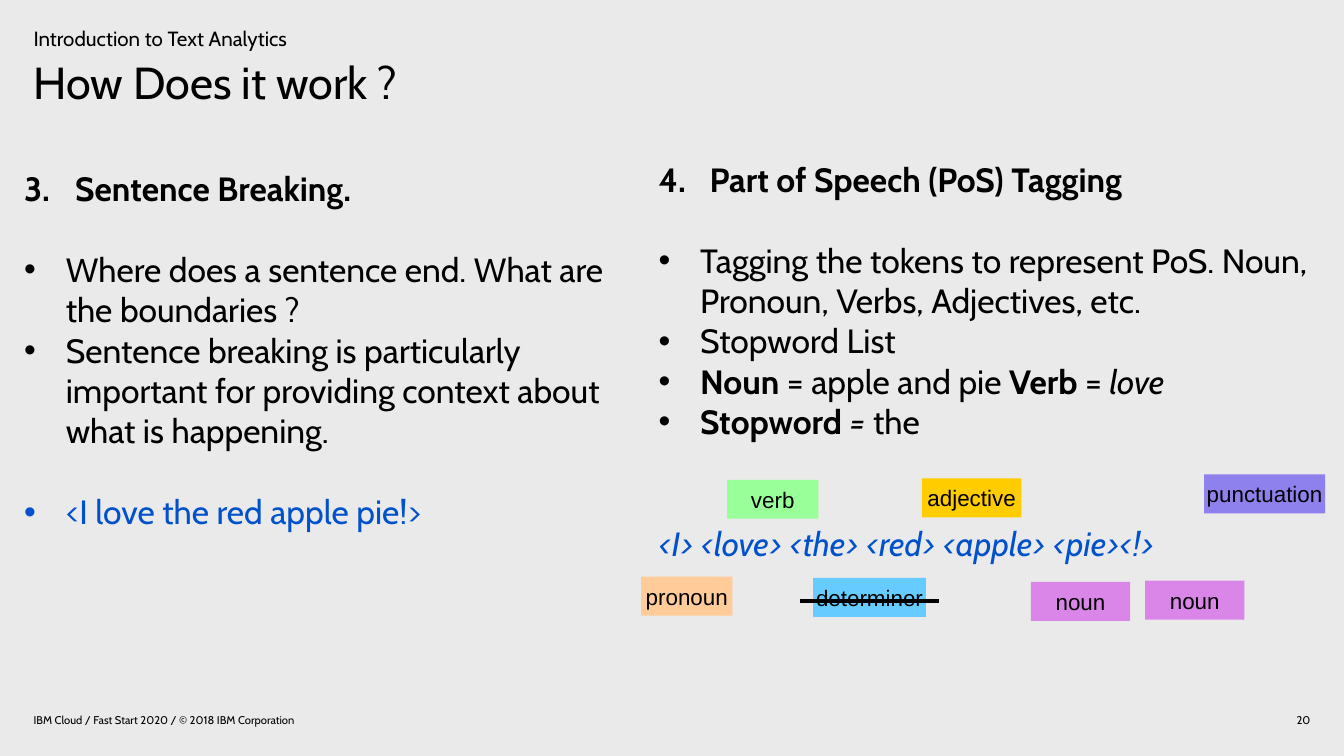
from dataclasses import dataclass

from lxml import etree
from pptx import Presentation
from pptx import util as u
from pptx.dml.color import RGBColor
from pptx.enum import shapes, text
from pptx.oxml.ns import qn


@dataclass(frozen=True)
class Theme:
    font: str = "Cabin"
    tag_font: str = "Arial"
    background: str = "EAEAEA"
    ink: str = "000000"
    accent: str = "0051CB"
    pronoun: str = "FFCC99"
    verb: str = "99FF99"
    determiner: str = "66CCFF"
    adjective: str = "FFCC00"
    noun: str = "DA85E8"
    punctuation: str = "8E81ED"
    title: int = 24
    body: int = 18
    tag: int = 12
    kicker: int = 11
    footer: int = 6
    line_gap: float = 21.8


class Deck:
    def __init__(self, theme):
        self.t = theme
        self.prs = Presentation()
        self.prs.slide_width = u.Inches(10)
        self.prs.slide_height = u.Inches(10 * 9 / 16)
        self.s = None

    def slide(self):
        self.s = self.prs.slides.add_slide(self.prs.slide_layouts[6])
        fill = self.s.background.fill
        fill.solid()
        fill.fore_color.rgb = RGBColor.from_string(self.t.background)

    def frame(self, sp, anchor):
        tf = sp.text_frame
        tf.word_wrap = True
        tf.vertical_anchor = anchor
        tf.margin_left = tf.margin_right = tf.margin_top = tf.margin_bottom = 0
        return tf

    def style(self, font, size, color, name=None):
        font.name = name or self.t.font
        font.size = u.Pt(size)
        font.color.rgb = RGBColor.from_string(color)

    def box(self, at, anchor=text.MSO_ANCHOR.TOP):
        sp = self.s.shapes.add_textbox(*map(u.Inches, at))
        return self.frame(sp, anchor)

    def label(self, at, words, size, align=text.PP_ALIGN.LEFT,
              anchor=text.MSO_ANCHOR.TOP, spacing=None):
        p = self.box(at, anchor).paragraphs[0]
        p.text = words
        p.alignment = align
        p.line_spacing = spacing
        self.style(p.runs[0].font, size, self.t.ink)

    def marker(self, p, start=None):
        indent = u.Inches(0.38 if start else 0.31)
        pPr = p._p.get_or_add_pPr()
        pPr.set("marL", str(indent))
        pPr.set("indent", str(-indent))
        etree.SubElement(pPr, qn("a:buFont"), typeface=self.t.font if start else "Arial")
        if start:
            etree.SubElement(pPr, qn("a:buAutoNum"), type="arabicPeriod", startAt=str(start))
        else:
            etree.SubElement(pPr, qn("a:buChar"), char="•")

    def column(self, at, number, heading, items):
        tf = self.box(at)
        p = tf.paragraphs[0]
        self.marker(p, number)
        self.runs(p, [(heading, "b")], self.t.ink)
        for gap, bullet, color, runs in items:
            p = tf.add_paragraph()
            if bullet:
                self.marker(p)
            p.space_before = u.Pt(gap * self.t.line_gap)
            self.runs(p, runs, color)

    def runs(self, p, runs, color):
        for words, emphasis in runs:
            r = p.add_run()
            r.text = words
            self.style(r.font, self.t.body, color)
            r.font.bold = "b" in emphasis
            r.font.italic = "i" in emphasis

    def tag(self, left, top, width, words, color):
        at = map(u.Inches, (left, top, width, 0.29))
        sp = self.s.shapes.add_shape(shapes.MSO_SHAPE.RECTANGLE, *at)
        sp.shadow.inherit = False
        sp.fill.solid()
        sp.fill.fore_color.rgb = RGBColor.from_string(color)
        sp.line.fill.background()
        tf = self.frame(sp, text.MSO_ANCHOR.MIDDLE)
        tf.word_wrap = False
        tf.text = words
        p = tf.paragraphs[0]
        p.alignment = text.PP_ALIGN.CENTER
        self.style(p.runs[0].font, self.t.tag, self.t.ink, self.t.tag_font)

    def strike(self, left, right, y):
        ends = map(u.Inches, (left, y, right, y))
        sp = self.s.shapes.add_connector(shapes.MSO_CONNECTOR.STRAIGHT, *ends)
        sp.line.color.rgb = RGBColor.from_string(self.t.ink)
        sp.line.width = u.Pt(2)
        etree.SubElement(sp._element.spPr, qn("a:effectLst"))


def main():
    t = Theme()
    d = Deck(t)
    d.slide()
    middle = text.MSO_ANCHOR.MIDDLE
    d.label((7.5, 5.28, 2.25, 0.15), "20", t.footer, text.PP_ALIGN.RIGHT, middle)
    d.label((0.25, 5.28, 7, 0.15), "IBM Cloud / Fast Start 2020 / © 2018 IBM Corporation",
            t.footer, anchor=middle)
    d.label((0.25, 0.45, 4.5, 0.54), "How Does it work ?", t.title, spacing=0.9)
    d.label((0.25, 0.19, 4.5, 0.33), "Introduction to Text Analytics", t.kicker)

    d.column((0.18, 1.25, 4.64, 3.48), 3, "Sentence Breaking.", [
        (1, True, t.ink, [("Where does a sentence end. What are the boundaries ?", "")]),
        (0, True, t.ink, [("Sentence breaking is particularly important for providing "
                           "context about what is happening.", "")]),
        (1, True, t.accent, [("<I love the red apple pie!>", "")]),
    ])
    d.column((4.9, 1.18, 5.03, 3.48), 4, "Part of Speech (PoS) Tagging", [
        (1, True, t.ink, [("Tagging the tokens to represent PoS. Noun, Pronoun, Verbs, "
                           "Adjectives, etc.", "")]),
        (0, True, t.ink, [("Stopword List", "")]),
        (0, True, t.ink, [("Noun", "b"), (" = apple and pie ", ""), ("Verb", "b"),
                          (" = ", ""), ("love", "i")]),
        (0, True, t.ink, [("Stopword", "b"), (" = ", "i"), ("the", "")]),
        (2, False, t.accent, [("<I> <love> <the> <red> <apple> <pie><!>", "i")]),
    ])

    for left, top, width, words in (
        (4.77, 4.29, 0.68, "pronoun"),
        (5.41, 3.57, 0.68, "verb"),
        (6.05, 4.3, 0.84, "determiner"),
        (6.86, 3.56, 0.74, "adjective"),
        (8.52, 4.32, 0.74, "noun"),
        (7.67, 4.33, 0.74, "noun"),
        (8.96, 3.53, 0.9, "punctuation"),
    ):
        d.tag(left, top, width, words, getattr(t, words))
    d.strike(5.95, 6.99, 4.47)
    d.prs.save("out.pptx")


if __name__ == "__main__":
    main()
